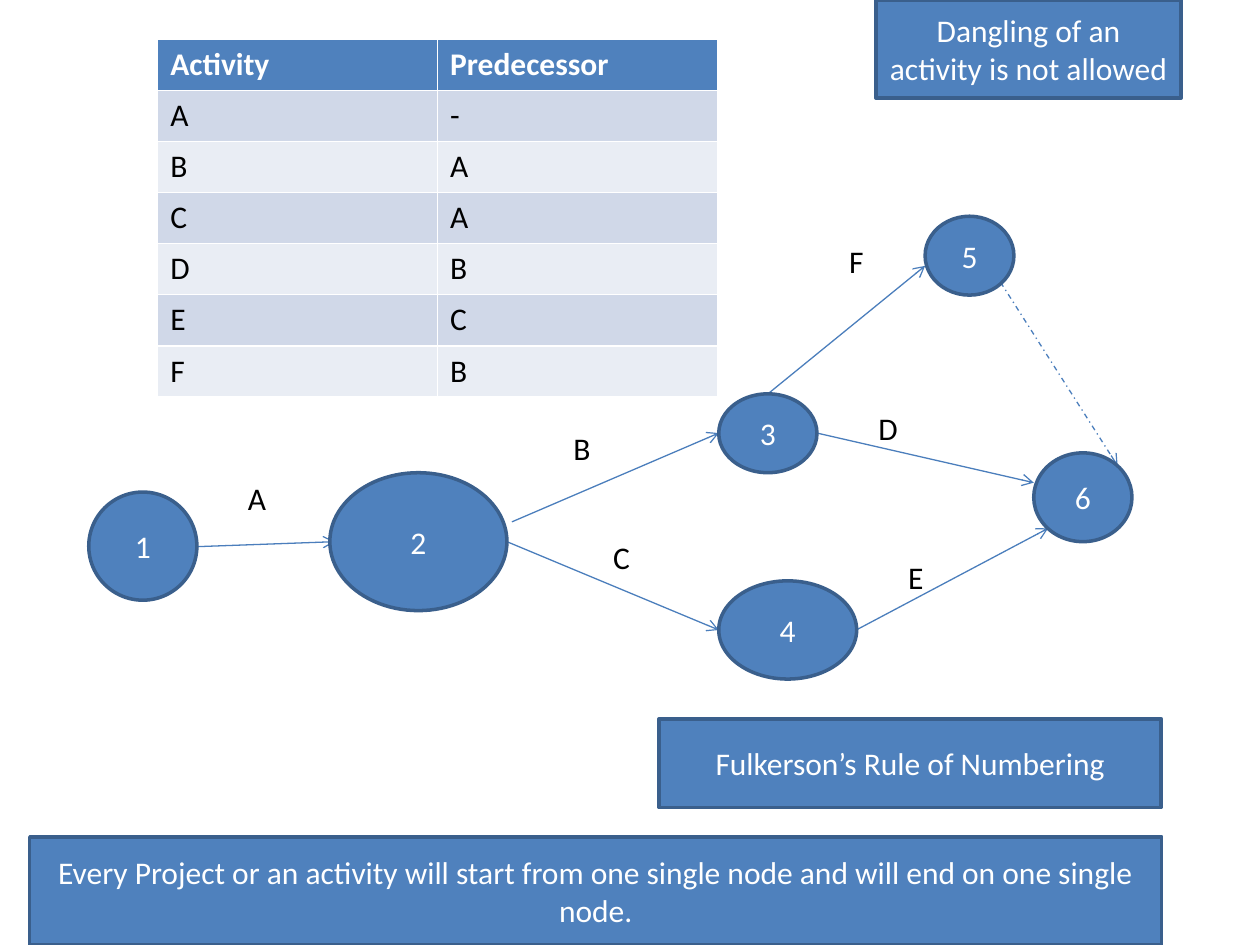
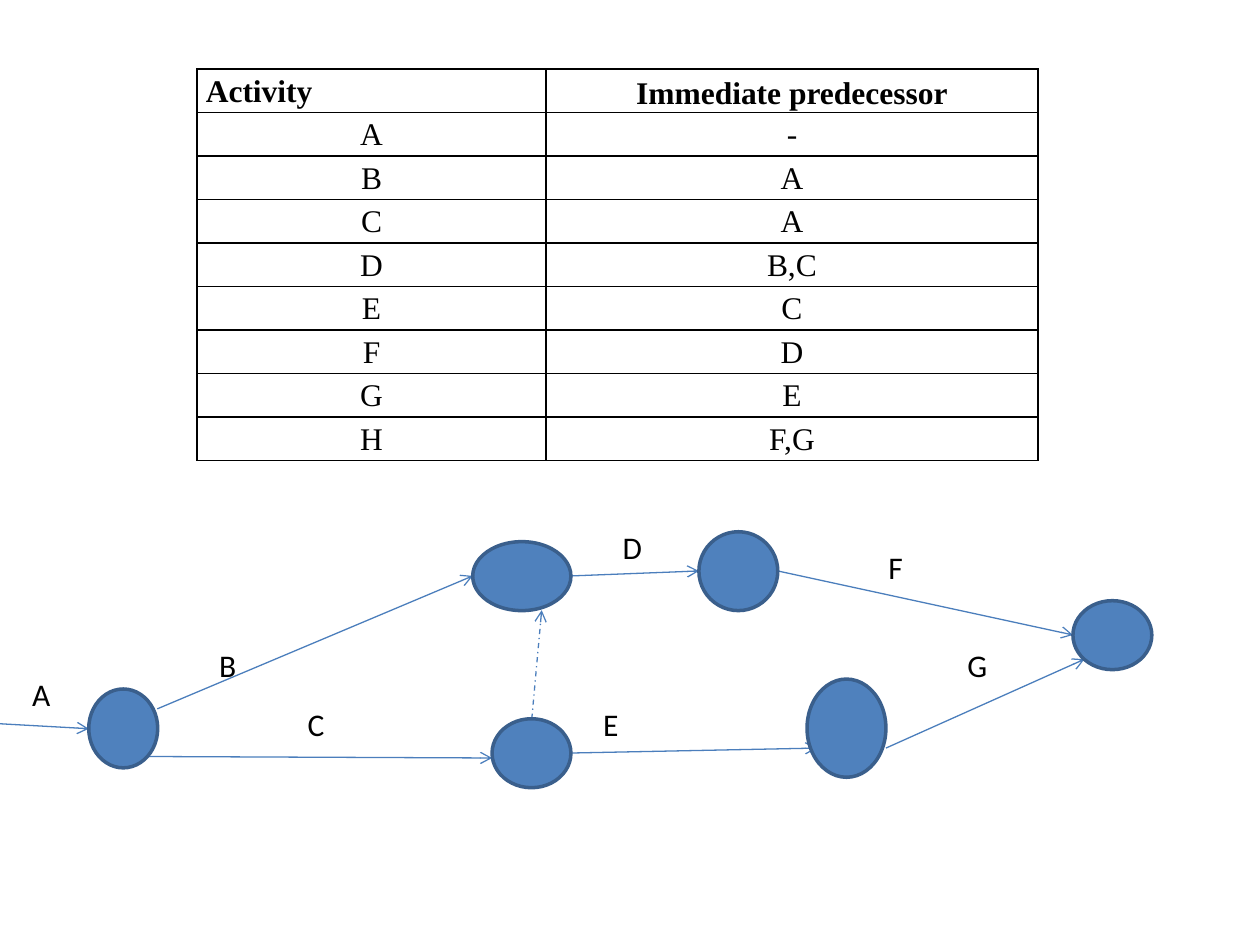
from pptx import Presentation
from pptx.dml.color import RGBColor
from pptx.enum.dml import MSO_LINE_DASH_STYLE as Dash
from pptx.enum.shapes import MSO_CONNECTOR as Connector, MSO_SHAPE as Shape
from pptx.enum.text import MSO_ANCHOR as Anchor, PP_ALIGN as Align
from pptx.oxml import parse_xml
from pptx.oxml.ns import nsdecls
from pptx.util import Cm, Pt

BLUE, OUTLINE, ARROW = "4F81BD", "3A5F8C", "4B7EBC"
WHITE, BLACK = "FFFFFF", "000000"
BANDS = ["E9EDF4", "D0D8E8"]


def rgb(color):
    return RGBColor.from_string(color)


def write(frame, text, color, align=Align.LEFT, font="Calibri", bold=False):
    frame.text = text
    para = frame.paragraphs[0]
    para.alignment = align
    for span in para.runs:
        span.font.size = Pt(18)
        span.font.name = font
        span.font.bold = bold
        span.font.color.rgb = rgb(color)
    return para


numbered_network = {
    "arrows": [
        (3.97, 11.02, 6.75, 10.92),
        (10.32, 10.52, 14.49, 8.73),
        (10.22, 10.92, 14.49, 12.7),
        (16.47, 8.73, 20.84, 9.73),
        (17.26, 12.7, 21.13, 10.65),
        (15.48, 7.94, 18.65, 5.36),
    ],
    "dummy": (20.17, 5.69, 22.53, 9.39),
    "nodes": [
        ("1", 1.79, 9.92, 2.18, 2.18),
        ("2", 6.65, 9.53, 3.57, 2.78),
        ("3", 14.49, 7.94, 1.98, 1.59),
        ("4", 14.49, 11.71, 2.78, 1.98),
        ("5", 18.65, 4.36, 1.79, 1.59),
        ("6", 20.84, 9.13, 1.98, 1.79),
    ],
    "rules": [
        ("Dangling of an activity is not allowed", 17.66, 0, 6.15, 1.98),
        ("Fulkerson’s Rule of Numbering", 13.29, 14.49, 10.12, 1.79),
        ("Every Project or an activity will start from one single node "
         "and will end on one single node.", 0.6, 16.87, 22.82, 2.18),
    ],
    "labels": [
        ("A", 4.75, 9.53, 1.19),
        ("B", 11.31, 8.53, 1.19),
        ("C", 12.11, 10.72, 1.59),
        ("D", 17.46, 8.13, 0.99),
        ("E", 18.06, 11.12, 0.99),
        ("F", 16.87, 4.75, 0.99),
    ],
}
plain_network = {
    "arrows": [
        (0, 14.59, 1.79, 14.69),
        (3.17, 14.29, 9.53, 11.61),
        (2.97, 15.25, 9.92, 15.28),
        (11.51, 15.18, 16.47, 15.08),
        (11.51, 11.61, 14.09, 11.51),
        (15.68, 11.51, 21.63, 12.8),
        (17.86, 15.08, 21.86, 13.29),
    ],
    "dummy": (10.72, 14.49, 10.92, 12.3),
    "nodes": [
        ("", 1.79, 13.89, 1.39, 1.59),
        ("", 9.53, 10.92, 1.98, 1.39),
        ("", 9.92, 14.49, 1.59, 1.39),
        ("", 14.09, 10.72, 1.59, 1.59),
        ("", 16.27, 13.69, 1.59, 1.98),
        ("", 21.63, 12.11, 1.59, 1.39),
    ],
    "rules": [],
    "labels": [
        ("A", 0.4, 13.49, 1.19),
        ("B", 4.17, 12.9, 0.79),
        ("C", 5.95, 14.09, 0.99),
        ("D", 12.3, 10.52, 0.99),
        ("E", 11.91, 14.09, 1.19),
        ("F", 17.66, 10.92, 1.19),
        ("G", 19.25, 12.9, 0.99),
    ],
}

deck = Presentation()
deck.slide_width, deck.slide_height = Cm(25.4), Cm(19.05)
pages = []

for network in (numbered_network, plain_network):
    page = deck.slides.add_slide(deck.slide_layouts[6])
    pages.append(page)

    for ends in network["arrows"] + [network["dummy"]]:
        arrow = page.shapes.add_connector(Connector.STRAIGHT, *map(Cm, ends))
        arrow.line.color.rgb = rgb(ARROW)
        arrow.line.width = Pt(0.75)
        if ends == network["dummy"]:
            arrow.line.dash_style = Dash.DASH_DOT
        properties = arrow.element.spPr
        properties.ln.append(parse_xml(f'<a:tailEnd {nsdecls("a")} type="arrow"/>'))
        properties.append(parse_xml(f'<a:effectLst {nsdecls("a")}/>'))

    for preset, group in ((Shape.OVAL, "nodes"), (Shape.RECTANGLE, "rules")):
        for text, *place in network[group]:
            shape = page.shapes.add_shape(preset, *map(Cm, place))
            shape.shadow.inherit = False
            shape.fill.solid()
            shape.fill.fore_color.rgb = rgb(BLUE)
            shape.line.color.rgb = rgb(OUTLINE)
            shape.line.width = Pt(2)
            if text:
                shape.text_frame.vertical_anchor = Anchor.MIDDLE
                write(shape.text_frame, text, WHITE, Align.CENTER)

    for text, left, top, width in network["labels"]:
        box = page.shapes.add_textbox(Cm(left), Cm(top), Cm(width), Cm(1.02))
        box.text_frame.word_wrap = True
        write(box.text_frame, text, BLACK)

activities = [("Activity", "Predecessor"), ("A", "-"), ("B", "A"), ("C", "A"),
              ("D", "B"), ("E", "C"), ("F", "B")]
table = pages[0].shapes.add_table(
    len(activities), 2, Cm(3.18), Cm(0.79), Cm(11.28), Cm(7.21)).table
for row, pair in enumerate(activities):
    table.rows[row].height = Cm(1.03)
    for column, text in enumerate(pair):
        cell = table.cell(row, column)
        cell.fill.solid()
        cell.fill.fore_color.rgb = rgb(BANDS[row % 2] if row else BLUE)
        write(cell.text_frame, text, BLACK if row else WHITE, bold=row == 0)

activities = [("Activity", "Immediate predecessor"), ("A", "-"), ("B", "A"),
              ("C", "A"), ("D", "B,C"), ("E", "C"), ("F", "D"), ("G", "E"),
              ("H", "F,G")]
table = pages[1].shapes.add_table(
    len(activities), 2, Cm(3.97), Cm(1.39), Cm(16.95), Cm(7.29)).table
table.columns[0].width, table.columns[1].width = Cm(7.04), Cm(9.91)
for row, pair in enumerate(activities):
    table.rows[row].height = Cm(0.81)
    for column, text in enumerate(pair):
        cell = table.cell(row, column)
        cell.margin_left = cell.margin_right = Cm(0.18)
        cell.margin_top = cell.margin_bottom = 0
        for side in "LRTB":
            cell._tc.get_or_add_tcPr().append(parse_xml(
                f'<a:ln{side} {nsdecls("a")} w="12700"><a:solidFill>'
                f'<a:srgbClr val="{BLACK}"/></a:solidFill></a:ln{side}>'))
        cell.fill.background()
        align = Align.LEFT if row == column == 0 else Align.CENTER
        para = write(cell.text_frame, text, BLACK, align, "Times New Roman", row == 0)
        para.line_spacing = 1.15
table.cell(0, 1).vertical_anchor = Anchor.MIDDLE

deck.save("out.pptx")
